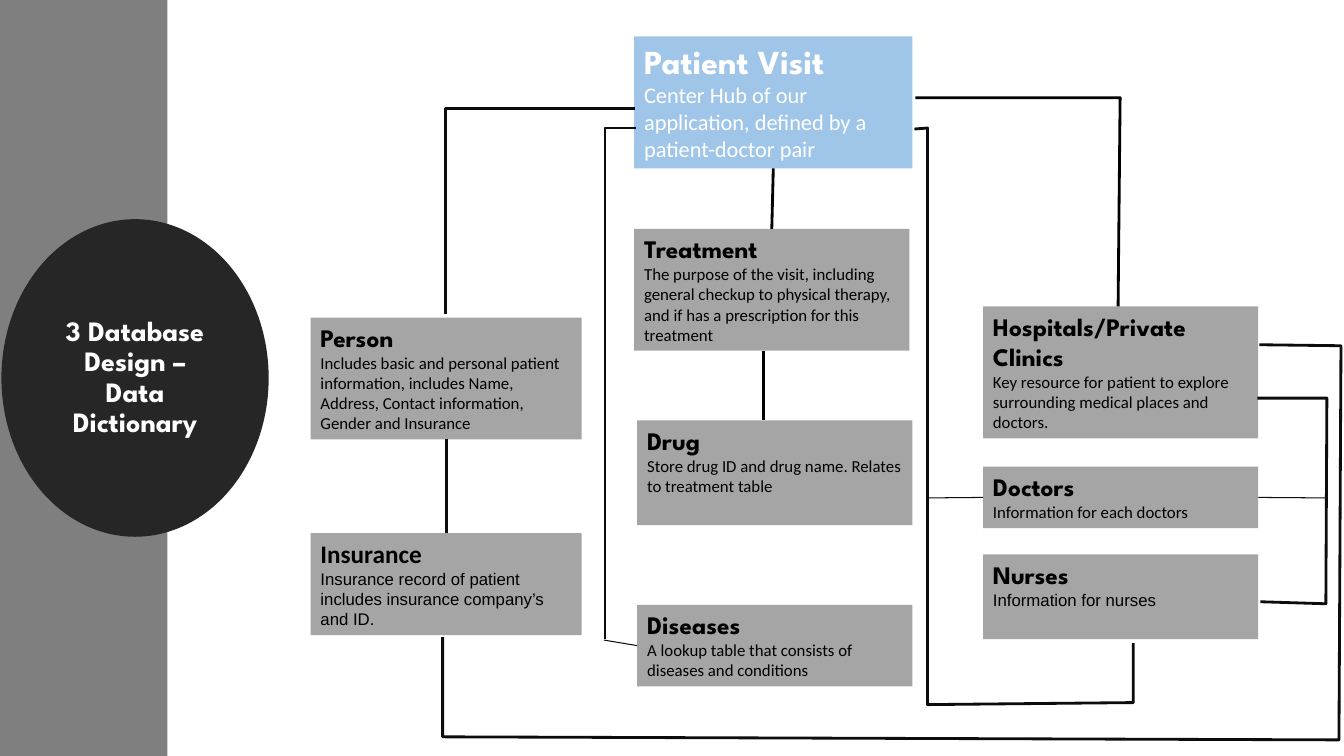
from lxml import etree
from pptx import Presentation
from pptx.dml.color import RGBColor
from pptx.enum.shapes import MSO_CONNECTOR, MSO_SHAPE
from pptx.enum.text import MSO_ANCHOR as Anchor, MSO_AUTO_SIZE as AutoSize, PP_ALIGN as Align
from pptx.oxml.ns import qn
from pptx.util import Inches, Pt

COLORS = {"white": "FFFFFF", "black": "000000", "ink": "0C0C0C",
          "band": "7F7F7F", "dark": "262626", "hub": "9FC5E8"}
HEAD, BODY, PLAIN = "League Spartan", "Calibri", "Arial"
TOP, LEFT, BOTTOM, RIGHT = range(4)

# name: box, heading font, body font, body text
TABLES = {
    "Person": ((3.08, 3.15, 2.69, 1.21), HEAD, BODY,
               "Includes basic and personal patient information, includes Name, "
               "Address, Contact information, Gender and Insurance"),
    "Patient Visit": ((6.29, 0.36, 2.76, 1.31), HEAD, BODY,
                      "Center Hub of our application, defined by a patient-doctor pair"),
    "Hospitals/Private Clinics": ((9.75, 3.04, 2.73, 1.31), HEAD, BODY,
                                  "Key resource for patient to explore surrounding "
                                  "medical places and doctors."),
    "Insurance": ((3.08, 5.29, 2.69, 1.01), BODY, PLAIN,
                  "Insurance record of patient includes insurance company’s and ID."),
    "Nurses": ((9.75, 5.5, 2.73, 0.84), HEAD, PLAIN, "Information for nurses"),
    "Doctors": ((9.75, 4.63, 2.73, 0.61), HEAD, BODY, "Information for each doctors"),
    "Diseases": ((6.32, 6, 2.73, 0.81), HEAD, BODY,
                 "A lookup table that consists of diseases and conditions"),
    "Treatment": ((6.29, 2.27, 2.73, 1.21), HEAD, BODY,
                  "The purpose of the visit, including general checkup to physical "
                  "therapy, and if has a prescription for this treatment"),
    "Drug": ((6.32, 4.17, 2.73, 1.04), HEAD, BODY,
             "Store drug ID and drug name. Relates to treatment table"),
}

# start, end, colour, width, joined start (table, side), joined end
STRAIGHT_LINKS = [
    ((4.42, 4.36), (4.42, 5.29), "ink", 2, ("Person", BOTTOM), ("Insurance", TOP)),
    ((7.67, 1.67), (7.66, 2.27), "black", 2, ("Patient Visit", BOTTOM), ("Treatment", TOP)),
    ((7.57, 3.48), (7.57, 4.17), "black", 2, None, None),
    ((9.2, 4.94), (9.75, 4.94), "ink", 0.75, None, ("Doctors", LEFT)),
    ((12.48, 4.93), (13.16, 4.94), "ink", 0.75, ("Doctors", RIGHT), None),
    ((5.99, 6.35), (6.32, 6.4), "ink", 0.75, None, ("Diseases", LEFT)),
]

BENT_LINKS = [
    ("ink", [(4.42, 3.12), (4.42, 1.08), (6.3, 1.08)]),
    ("black", [(9.08, 0.97), (11.11, 0.97), (11.09, 3.04)]),
    ("ink", [(9.07, 1.28), (9.2, 1.27), (9.2, 6.99), (11.24, 6.97), (11.24, 6.38)]),
    ("ink", [(4.39, 6.32), (4.39, 7.31), (13.28, 7.34), (13.3, 3.43), (12.49, 3.42)]),
    ("ink", [(12.5, 5.97), (13.15, 5.99), (13.16, 3.95), (12.47, 3.95)]),
    ("ink", [(6, 6.34), (6, 1.27), (6.31, 1.27)]),
]


def color(name):
    return RGBColor.from_string(COLORS[name])


def add_filled(page, kind, box, fill, alpha=None):
    shape = page.shapes.add_shape(kind, *map(Inches, box))
    shape.shadow.inherit = False
    shape.line.fill.background()
    shape.fill.solid()
    shape.fill.fore_color.rgb = color(fill)
    if alpha:
        tone = shape._element.spPr.find(qn("a:solidFill"))[0]
        etree.SubElement(tone, qn("a:alpha")).set("val", str(alpha * 1000))
    return shape


def add_span(para, text, font, size, tone, bold):
    span = para.add_run()
    span.text = text
    span.font.name, span.font.size, span.font.bold = font, Pt(size), bold
    span.font.color.rgb = color(tone)


def add_title(page, box):
    """Side band with the slide title in an oval over it."""
    left, top, width, height = box
    add_filled(page, MSO_SHAPE.RECTANGLE, box, "band")
    oval = add_filled(page, MSO_SHAPE.OVAL, (left + 0.11, top + 2.27, 2.46, 2.96), "dark")
    oval.line.color.rgb = color("dark")
    oval.line.width = Pt(13.75)
    frame = oval.text_frame
    frame.word_wrap = True
    frame.vertical_anchor = Anchor.MIDDLE
    para = frame.paragraphs[0]
    para.alignment, para.line_spacing = Align.CENTER, 0.9
    add_span(para, "3 Database Design – Data Dictionary", HEAD, 20, "white", True)


def add_table_card(page, name, box, head_font, body_font, body):
    """Box for one database table: its name over its purpose."""
    hub = name == "Patient Visit"
    fill, alpha, tone = ("hub", None, "white") if hub else ("dark", 41, "black")
    head_size, body_size = (24, 16) if hub else (18, 12)
    card = add_filled(page, MSO_SHAPE.RECTANGLE, box, fill, alpha)
    frame = card.text_frame
    frame.word_wrap = True
    frame.auto_size = AutoSize.SHAPE_TO_FIT_TEXT
    frame.vertical_anchor = Anchor.TOP
    heading, detail = frame.paragraphs[0], frame.add_paragraph()
    heading.alignment = detail.alignment = Align.LEFT
    add_span(heading, name, head_font, head_size, tone, True)
    add_span(detail, body, body_font, body_size, tone, False)
    return card


def add_straight_link(page, cards, start, end, tone, width, start_join, end_join):
    link = page.shapes.add_connector(MSO_CONNECTOR.STRAIGHT, *map(Inches, start + end))
    link.line.color.rgb = color(tone)
    link.line.width = Pt(width)
    etree.SubElement(link._element.spPr, qn("a:effectLst"))
    for join, connect in ((start_join, link.begin_connect), (end_join, link.end_connect)):
        if join:
            name, side = join
            connect(cards[name], side)


def add_bent_link(page, tone, points):
    start, *rest = [(Inches(x), Inches(y)) for x, y in points]
    builder = page.shapes.build_freeform(*start)
    builder.add_line_segments(rest, close=False)
    link = builder.convert_to_shape()
    link.shadow.inherit = False
    link.fill.background()
    link.line.color.rgb = color(tone)
    link.line.width = Pt(2)


def add_diagram(page):
    cards = {name: add_table_card(page, name, *table) for name, table in TABLES.items()}
    for link in STRAIGHT_LINKS:
        add_straight_link(page, cards, *link)
    for link in BENT_LINKS:
        add_bent_link(page, *link)


def main():
    deck = Presentation()
    deck.slide_width, deck.slide_height = Inches(13.33), Inches(7.5)
    page = deck.slides.add_slide(deck.slide_layouts[6])
    add_title(page, (0, 0, 1.66, 7.5))
    add_diagram(page)
    deck.save("out.pptx")


if __name__ == "__main__":
    main()
